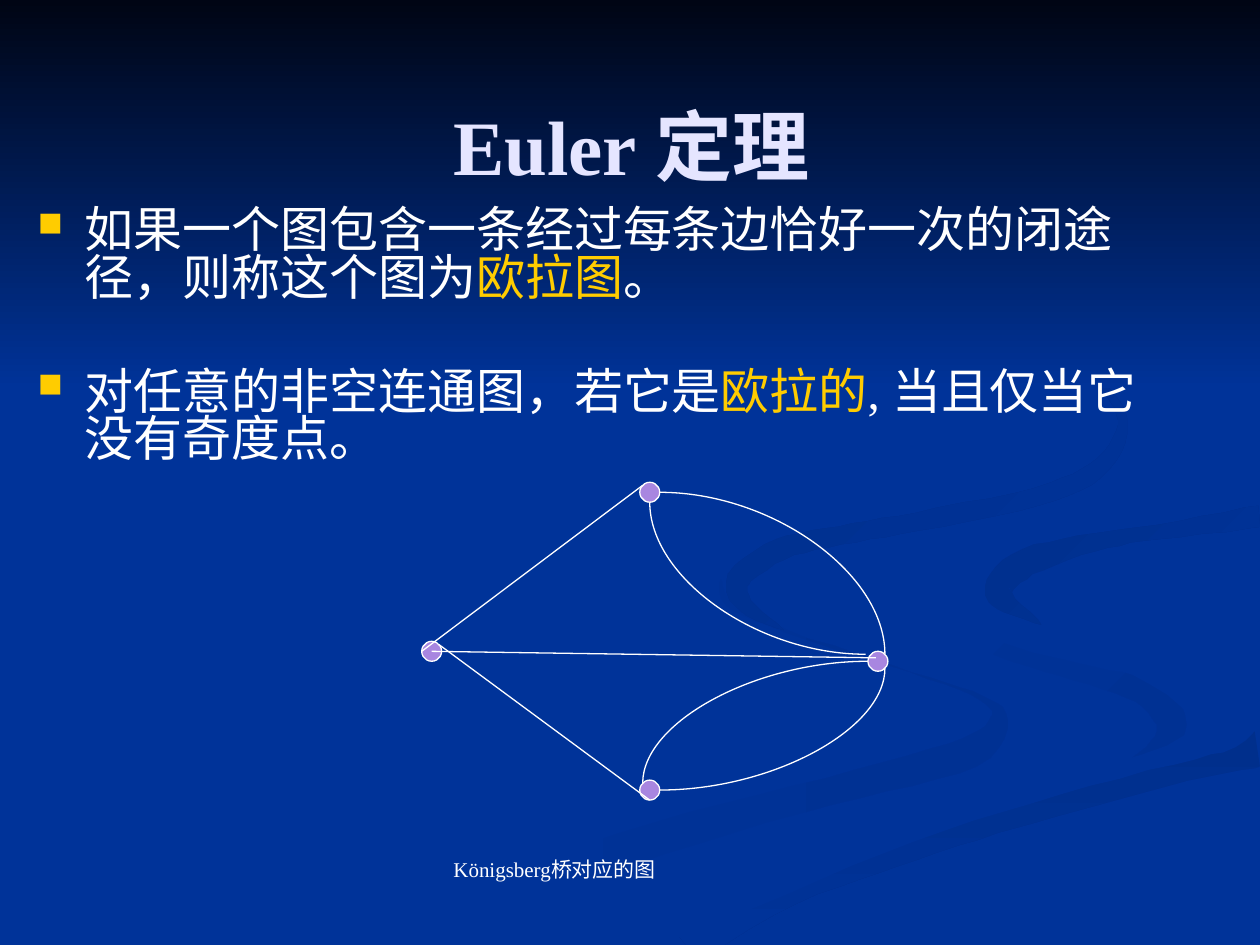
import math
import pptx
import pptx.util
import pptx.dml.color
import pptx.enum.shapes
import pptx.enum.text
import pptx.oxml
import pptx.oxml.ns
from dataclasses import dataclass

Pt = pptx.util.Pt
qn, nsdecls = pptx.oxml.ns.qn, pptx.oxml.ns.nsdecls
ANCHOR = pptx.enum.text.MSO_ANCHOR
ALIGN = pptx.enum.text.PP_ALIGN
CONNECTOR = pptx.enum.shapes.MSO_CONNECTOR
SHAPE = pptx.enum.shapes.MSO_SHAPE
WIDTH, HEIGHT = 720, 540


@dataclass
class Theme:
    font: str = "Times New Roman"
    ground: str = "003399"
    night: str = "000514"
    shade: str = "003193"
    deep_shade: str = "002F8C"
    title: str = "E5E5FF"
    text: str = "FFFFFF"
    accent: str = "FFCC00"
    node: str = "A886E0"
    title_size: float = 44
    body_size: float = 28
    caption_size: float = 12
    line_width: float = 0.75


def rgb(value):
    return pptx.dml.color.RGBColor.from_string(value)


def assign(target, values):
    for name, value in values.items():
        setattr(target, name, value)


def smooth(stations, steps=5):
    """Run a Catmull-Rom curve through stations of (x, y, thickness)."""
    padded = [stations[0], *stations, stations[-1]]
    curve = []
    for a, b, c, d in zip(padded, padded[1:], padded[2:], padded[3:]):
        for step in range(steps):
            t = step / steps
            curve.append([
                q + t * (r - p) / 2 + t**2 * (2*p - 5*q + 4*r - s) / 2
                + t**3 * (3*q - p - 3*r + s) / 2
                for p, q, r, s in zip(a, b, c, d)])
    return curve + [stations[-1]]


def ribbon_outline(stations):
    """Offset the smoothed spine to both sides, kept inside the page."""
    spine = smooth(stations)
    left_bank, right_bank = [], []
    for index, (x, y, thickness) in enumerate(spine):
        before = spine[max(index - 1, 0)]
        after = spine[min(index + 1, len(spine) - 1)]
        angle = math.atan2(after[1] - before[1], after[0] - before[0])
        across = -math.sin(angle) * thickness / 2
        down = math.cos(angle) * thickness / 2
        for bank, side in ((left_bank, 1), (right_bank, -1)):
            bank.append((min(x + side * across, WIDTH), min(y + side * down, HEIGHT)))
    return left_bank + right_bank[::-1]


class SlideBuilder:
    def __init__(self, page, theme):
        self.page = page
        self.theme = theme

    def background(self):
        fill = self.page.background.fill
        fill.solid()
        fill.fore_color.rgb = rgb(self.theme.ground)

    def paint(self, shape, colors, angle=0):
        """Fill with one colour, or with a gradient turned clockwise."""
        shape.shadow.inherit = False
        if len(colors) == 1:
            shape.fill.solid()
            shape.fill.fore_color.rgb = rgb(colors[0])
            return
        shape.fill.gradient()
        shape.fill.gradient_angle = -angle % 360
        for stop, color, place in zip(shape.fill.gradient_stops, colors, (0, 1)):
            stop.position = place
            stop.color.rgb = rgb(color)

    def stroke(self, line):
        line.color.rgb = rgb(self.theme.text)
        line.width = Pt(self.theme.line_width)

    def outline(self, points, colors, angle=0):
        builder = self.page.shapes.build_freeform(*points[0], scale=Pt(1))
        builder.add_line_segments(points[1:], close=True)
        shape = builder.convert_to_shape()
        self.paint(shape, colors, angle)
        shape.line.fill.background()

    def node(self, center, radius):
        left, top = (value - radius for value in center)
        shape = self.page.shapes.add_shape(
            SHAPE.OVAL, *map(Pt, (left, top, 2 * radius, 2 * radius)))
        self.paint(shape, [self.theme.node])
        self.stroke(shape.line)

    def edge(self, start, end, curved=False):
        """A curved edge leaves its start level and meets its end upright."""
        kind = CONNECTOR.CURVE if curved else CONNECTOR.STRAIGHT
        edge = self.page.shapes.add_connector(kind, *map(Pt, start + end))
        properties = edge._element.spPr
        if curved:
            properties.find(qn("a:prstGeom")).set("prst", "curvedConnector2")
        self.stroke(edge.line)
        properties.append(pptx.oxml.parse_xml(f"<a:effectLst {nsdecls('a')}/>"))

    def bullet(self, para, indent=27):
        properties = para._p.get_or_add_pPr()
        for name, value in {"marL": Pt(indent), "indent": -Pt(indent)}.items():
            properties.set(name, str(int(value)))
        space = nsdecls("a")
        for xml in (
            f'<a:buClr {space}><a:srgbClr val="{self.theme.accent}"/></a:buClr>',
            f'<a:buSzPct {space} val="70000"/>',
            f'<a:buChar {space} char="■"/>',
        ):
            properties.append(pptx.oxml.parse_xml(xml))

    def text(self, area, paragraphs, size, frame=None, style=None,
             bold=False, bullets=False, gap=0):
        """Each paragraph is a list of (text, colour) spans."""
        box = self.page.shapes.add_textbox(*map(Pt, area)).text_frame
        assign(box, {"word_wrap": True, **(frame or {})})
        for index, spans in enumerate(paragraphs):
            para = box.add_paragraph() if index else box.paragraphs[0]
            assign(para, {"space_before": Pt(gap if index else 0), **(style or {})})
            if bullets:
                self.bullet(para)
            for words, color in spans:
                span = para.add_run()
                span.text = words
                assign(span.font, {"name": self.theme.font, "size": Pt(size),
                                   "bold": bold})
                span.font.color.rgb = rgb(color)


# Ribbon spines: a few stations of (x, y, thickness), tip to tail
LEFT_RIBBON = [(412, 331, 1), (416, 344, 4), (450, 361, 2), (520, 384, 1),
               (561, 399, 3), (571, 411, 10), (554, 430, 18), (490, 448, 16),
               (397, 473, 18), (300, 506, 24), (238, 539, 36)]
RIGHT_RIBBON = [(521, 334, 1), (530, 350, 5), (571, 371, 8), (615, 384, 10),
                (652, 395, 14), (669, 411, 18), (664, 425, 12), (645, 436, 1)]
LOW_RIBBON = [(720, 428, 20), (677, 440, 13), (622, 454, 15), (568, 468, 17),
              (510, 486, 19), (452, 508, 18), (386, 539, 30)]
STREAM = [(720, 284, 10), (640, 297, 8), (580, 309, 15), (543, 331, 36),
          (575, 356, 14), (648, 379, 13), (694, 396, 40), (699, 412, 36),
          (680, 427, 14), (605, 450, 8), (520, 475, 12), (430, 511, 15),
          (355, 539, 18)]
HIGH_RIBBON = [(595, 357, 1), (574, 343, 12), (571, 335, 16), (587, 321, 16),
               (625, 310, 10), (662, 304, 8), (720, 295, 13)]
TOP_RIBBON = [(549, 168, 1), (608, 200, 1), (636, 228, 4), (641, 247, 6),
              (626, 269, 10), (592, 284, 11), (525, 298, 11), (480, 306, 11),
              (446, 314, 12), (422, 331, 13), (426, 346, 9), (448, 360, 1)]

# Graph: land areas, and where an edge meets a node, in node radii
RADIUS = 5.7
NODES = {"north": (371.3, 281.3), "south": (371.3, 451.5),
         "east": (501.7, 377.9), "west": (246.7, 372.2)}
PORTS = {"centre": (0, 0), "near centre": (-0.2, -0.35),
         "left": (-1, 0), "right": (1, 0), "bottom": (0, 1),
         "upper left": (-0.7, -0.7), "upper right": (0.7, -0.7),
         "lower right": (0.7, 0.7), "beyond upper left": (-1.23, -0.7)}
STRAIGHT_BRIDGES = [(("west", "left"), ("north", "upper left")),
                    (("west", "upper right"), ("south", "bottom")),
                    (("west", "centre"), ("east", "near centre"))]
CURVED_BRIDGES = [(("south", "right"), ("east", "lower right")),
                  (("east", "left"), ("south", "upper left")),
                  (("east", "beyond upper left"), ("north", "bottom")),
                  (("north", "right"), ("east", "upper right"))]


def port(node, side):
    return tuple(c + RADIUS * d for c, d in zip(NODES[node], PORTS[side]))


def main():
    theme = Theme()
    deck = pptx.Presentation()
    assign(deck, {"slide_width": Pt(WIDTH), "slide_height": Pt(HEIGHT)})
    slide = SlideBuilder(deck.slides.add_slide(deck.slide_layouts[6]), theme)

    # Background ribbons and night sky
    slide.background()
    for stations, colors, angle in (
        (LEFT_RIBBON, [theme.ground, theme.shade], 0),
        (RIGHT_RIBBON, [theme.ground, theme.shade], 45),
        (LOW_RIBBON, [theme.deep_shade, theme.ground], 90),
        (STREAM, [theme.ground], 0),
        (HIGH_RIBBON, [theme.deep_shade, theme.ground], 45),
        (TOP_RIBBON, [theme.deep_shade, theme.ground], 45),
    ):
        slide.outline(ribbon_outline(stations), colors, angle)
    horizon = 221.76
    slide.outline([(0, 0), (0, horizon), (WIDTH, horizon), (WIDTH, 0)],
                  [theme.night, theme.ground], 90)

    # Title and theorem
    slide.text((36.72, 37.44, 648, 90), [[("Euler 定理", theme.title)]],
               theme.title_size, {"vertical_anchor": ANCHOR.MIDDLE},
               {"alignment": ALIGN.CENTER}, bold=True)
    slide.text((14.4, 116.64, 648, 164.16), [
        [("如果一个图包含一条经过每条边恰好一次的闭途径，则称这个图为", theme.text),
         ("欧拉图", theme.accent), ("。", theme.text)],
        [("对任意的非空连通图，若它是", theme.text), ("欧拉的", theme.accent),
         (", 当且仅当它没有奇度点。", theme.text)],
    ], theme.body_size, style={"line_spacing": 0.8}, bullets=True, gap=38.5)

    # Graph of the bridges
    for center in NODES.values():
        slide.node(center, RADIUS)
    for bridges, curved in ((STRAIGHT_BRIDGES, False), (CURVED_BRIDGES, True)):
        for start, end in bridges:
            slide.edge(port(*start), port(*end), curved)

    # Caption
    slide.text((252, 474.48, 238.32, 30.96), [[("Königsberg桥对应的图", theme.text)]],
               theme.caption_size, {"margin_top": Pt(16), "margin_bottom": 0})
    deck.save("out.pptx")


if __name__ == "__main__":
    main()
